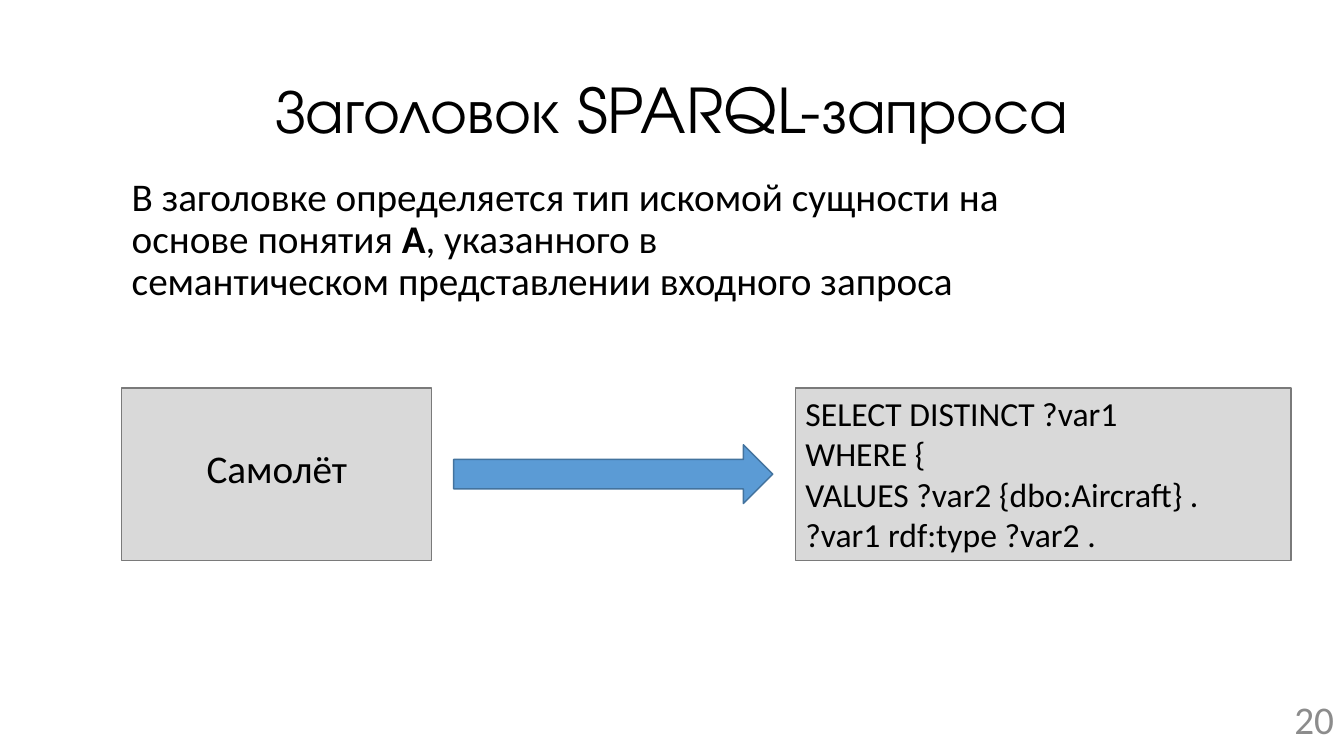
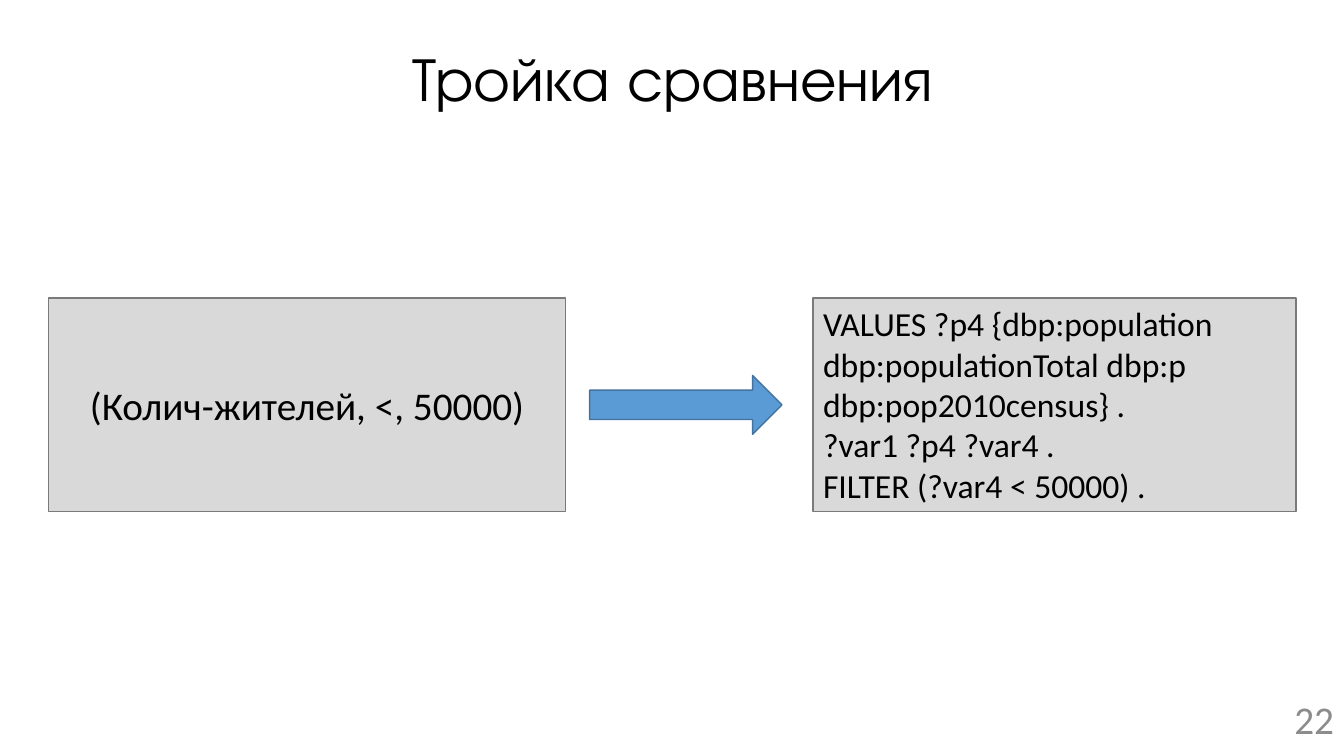
from dataclasses import dataclass

from pptx import Presentation
from pptx import util as u
from pptx.dml import color
from pptx.enum import shapes, text

COLUMNS, ROWS = 160, 90
WIDTH, HEIGHT = u.Inches(13.33), u.Inches(7.5)


@dataclass(frozen=True)
class Theme:
    title_font: str = "TeX Gyre Adventor"
    body_font: str = "Calibri"
    ink: str = "000000"
    muted: str = "8C8C8C"
    card: str = "D9D9D9"
    card_line: str = "7A7A7A"
    arrow: str = "5B9BD5"
    arrow_line: str = "43739E"
    title_size: int = 44
    body_size: int = 28
    code_size: int = 24


THEME = Theme()
LEFT, CENTER, RIGHT = text.PP_ALIGN.LEFT, text.PP_ALIGN.CENTER, text.PP_ALIGN.RIGHT
TOP, MIDDLE = text.MSO_ANCHOR.TOP, text.MSO_ANCHOR.MIDDLE


def place(box):
    """Turn (column, row, columns, rows) into slide lengths."""
    left, top, width, height = box
    return (int(left * WIDTH / COLUMNS), int(top * HEIGHT / ROWS),
            int(width * WIDTH / COLUMNS), int(height * HEIGHT / ROWS))


def write(shape, paragraphs, size=THEME.body_size, font=THEME.body_font, ink=THEME.ink,
          anchor=TOP, frame_format=None, **para_format):
    """Fill a shape with paragraphs, each a list of (words, bold) spans."""
    frame = shape.text_frame
    frame_values = {"word_wrap": True, "auto_size": text.MSO_AUTO_SIZE.NONE,
                    "vertical_anchor": anchor, **(frame_format or {})}
    for name, value in frame_values.items():
        setattr(frame, name, value)
    for index, spans in enumerate(paragraphs):
        para = frame.paragraphs[0] if index == 0 else frame.add_paragraph()
        for name, value in para_format.items():
            setattr(para, name, value)
        for words, bold in spans:
            for number, line in enumerate(words.split("\n")):
                if number:
                    para.add_line_break()
                span = para.add_run()
                span.text = line
                for name, value in {"name": font, "size": u.Pt(size), "bold": bold}.items():
                    setattr(span.font, name, value)
                span.font.color.rgb = color.RGBColor.from_string(ink)


def plain(*lines):
    return [[(line, False)] for line in lines]


def add_figure(page, kind, box, fill, line):
    figure = page.shapes.add_shape(kind, *place(box))
    figure.shadow.inherit = False
    figure.fill.solid()
    figure.fill.fore_color.rgb = color.RGBColor.from_string(fill)
    figure.line.color.rgb = color.RGBColor.from_string(line)
    figure.line.width = u.Pt(1)
    return figure


def add_page(deck, title, title_box, number):
    page = deck.slides.add_slide(deck.slide_layouts[5])
    heading = page.shapes.title
    heading.left, heading.top, heading.width, heading.height = place(title_box)
    write(heading, plain(title), THEME.title_size, THEME.title_font, anchor=MIDDLE,
          alignment=CENTER, line_spacing=0.9)
    corner = page.shapes.add_textbox(*place((149, 81.1, 11, 8.9)))
    write(corner, plain(number), ink=THEME.muted, anchor=MIDDLE, alignment=RIGHT)
    return page


def add_intro(page, box, spans):
    intro = page.shapes.add_textbox(*place(box))
    write(intro, [spans], alignment=LEFT, line_spacing=0.9, space_before=u.Pt(10))


def add_mapping(page, band, source_span, arrow_span, query_span, source, query, lift=0):
    """Draw source, arrow and query in a band (row, rows); spans are (column, columns)."""
    top, height = band
    arrow_height = 7

    def card(span):
        return add_figure(page, shapes.MSO_SHAPE.RECTANGLE, (span[0], top, span[1], height),
                          THEME.card, THEME.card_line)

    write(card(source_span), plain(source), anchor=MIDDLE, alignment=CENTER,
          frame_format={"margin_bottom": u.Inches(0.05 + 2 * lift)})
    add_figure(page, shapes.MSO_SHAPE.RIGHT_ARROW,
               (arrow_span[0], top + (height - arrow_height) / 2, arrow_span[1], arrow_height),
               THEME.arrow, THEME.arrow_line)
    write(card(query_span), plain(*query), THEME.code_size, alignment=LEFT,
          frame_format={"margin_right": u.Inches(0.4)})


def build_header_page(deck):
    page = add_page(deck, "Заголовок SPARQL-запроса", (11, 4.8, 138, 17.4), "20")
    add_intro(page, (14.5, 20.5, 117.4, 14.3), [
        ("В заголовке определяется тип искомой сущности на основе понятия ", False),
        ("A", True),
        (", указанного в \nсемантическом представлении входного запроса", False),
    ])
    add_mapping(page, (46.2, 20.5), (14.5, 36.9), (54, 38), (94.7, 59), "Самолёт", [
        "SELECT DISTINCT ?var1",
        "WHERE {",
        "VALUES ?var2 {dbo:Aircraft} .",
        "?var1 rdf:type ?var2 .",
    ], lift=0.06)


def build_comparison_page(deck):
    page = add_page(deck, "Тройка сравнения", (9.5, 1, 141.2, 17.4), "22")
    add_mapping(page, (35.5, 25.4), (5.8, 61.5), (70.2, 22.9), (96.8, 57.5),
                "(Колич-жителей, <, 50000)", [
        "VALUES ?p4 {dbp:population dbp:populationTotal dbp:p dbp:pop2010census} .",
        "?var1 ?p4 ?var4 .",
        "FILTER (?var4 < 50000) .",
    ])


def main():
    deck = Presentation()
    deck.slide_width, deck.slide_height = WIDTH, HEIGHT
    build_header_page(deck)
    build_comparison_page(deck)
    deck.save("out.pptx")


if __name__ == "__main__":
    main()
